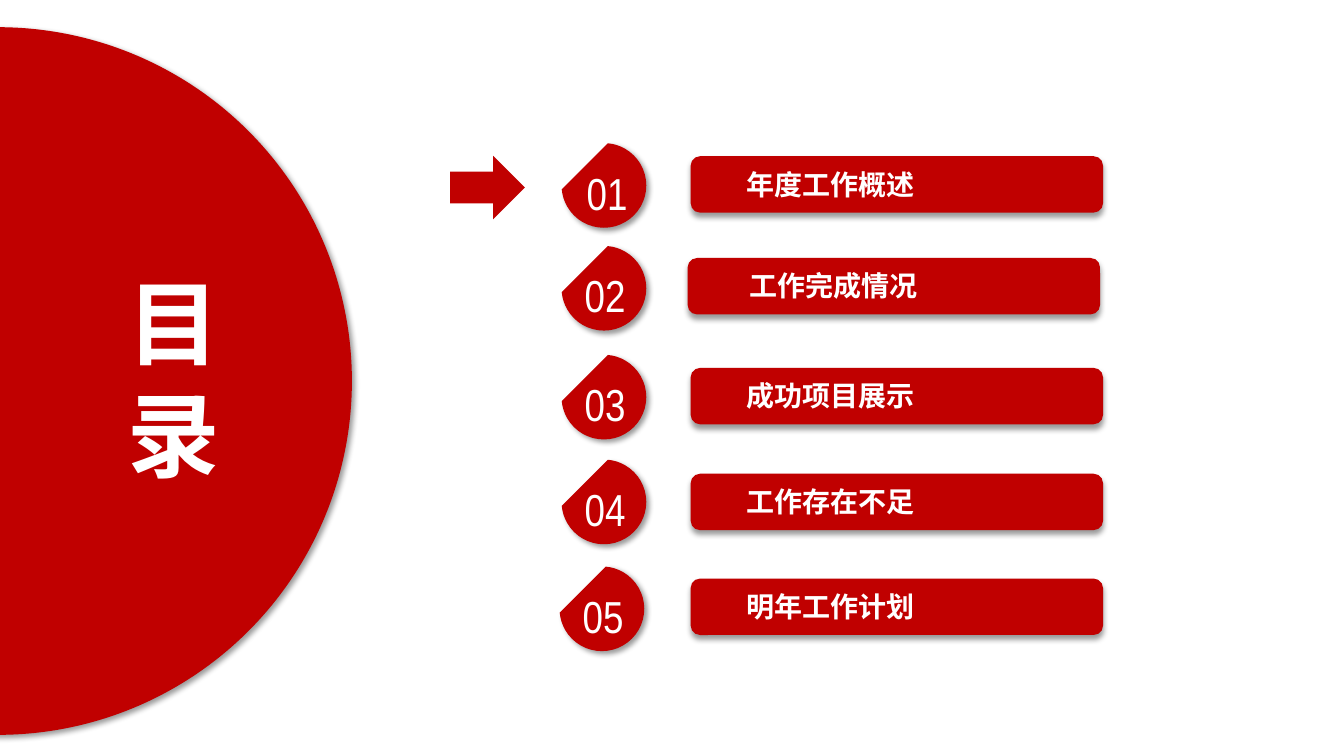
from lxml import etree
from pptx import Presentation
from pptx.dml.color import RGBColor
from pptx.enum.shapes import MSO_SHAPE as Shape
from pptx.enum.text import MSO_ANCHOR as Anchor, PP_ALIGN as Align
from pptx.oxml.ns import qn
from pptx.util import Inches, Pt

RED = RGBColor(0xC0, 0x00, 0x00)
WHITE = RGBColor(0xFF, 0xFF, 0xFF)
CJK_FONT = "Noto Sans CJK SC"
NUMBER_FONT = "Arial Narrow"

TITLE = "目\n录"
# number, label, badge left, badge top, number left, bar left, bar top, label left
AGENDA = [
    ("01", "年度工作概述", 5.57, 1.42, 5.72, 6.85, 1.55, 7.27),
    ("02", "工作完成情况", 5.57, 2.44, 5.70, 6.82, 2.56, 7.30),
    ("03", "成功项目展示", 5.57, 3.52, 5.70, 6.85, 3.65, 7.27),
    ("04", "工作存在不足", 5.57, 4.56, 5.70, 6.85, 4.70, 7.27),
    ("05", "明年工作计划", 5.55, 5.62, 5.68, 6.85, 5.74, 7.27),
]
BADGE_SIZE = 0.84
ARC_START, ARC_END = 275.4, 174.6


def paint(sp, shadow_angle=None):
    sp.fill.solid()
    sp.fill.fore_color.rgb = RED
    sp.line.fill.background()
    sp.shadow.inherit = False
    if shadow_angle is not None:
        effects = sp._element.spPr.find(qn("a:effectLst"))
        shadow = etree.SubElement(
            effects, qn("a:outerShdw"), blurRad=str(Pt(4)), dist=str(Pt(3)),
            dir=str(shadow_angle * 60000), algn="t", rotWithShape="0")
        color = etree.SubElement(shadow, qn("a:srgbClr"), val="000000")
        etree.SubElement(color, qn("a:alpha"), val="40000")


def add_preset(s, kind, left, top, width, height, shadow_angle=None):
    sp = s.shapes.add_shape(kind, *map(Inches, (left, top, width, height)))
    paint(sp, shadow_angle)
    return sp


def add_badge(s, left, top):
    badge = add_preset(s, Shape.CHORD, left, top, BADGE_SIZE, BADGE_SIZE, 45)
    for i, angle in enumerate((ARC_START, ARC_END)):
        badge.adjustments[i] = angle * 60000 / 100000


def write(sp, text, font, size, bold=False, align=Align.LEFT):
    tf = sp.text_frame
    tf.text = text
    tf.word_wrap = True
    for p in tf.paragraphs:
        p.alignment = align
        p.font.size = Pt(size)
        p.font.bold = bold
        p.font.color.rgb = WHITE
        p.font.name = font
        props = p._p.pPr.find(qn("a:defRPr"))
        etree.SubElement(props, qn("a:ea"), typeface=font)
    return tf


def set_insets(tf, side, top, bottom):
    tf.margin_left = tf.margin_right = Inches(side)
    tf.margin_top, tf.margin_bottom = Inches(top), Inches(bottom)


def add_title(s, circle):
    title = s.shapes.title
    title.left, title.top, title.width, title.height = map(
        Inches, (1, 2.58, 1.45, 2.36))
    title.fill.solid()
    title.fill.fore_color.rgb = RED
    tf = write(title, TITLE, CJK_FONT, 66, True, Align.CENTER)
    tf.vertical_anchor = Anchor.TOP
    set_insets(tf, 0.13, 0.05, 0.05)
    for p in tf.paragraphs:
        p.line_spacing = Pt(80)
    circle._element.addnext(title._element)


def main():
    """Build the agenda slide and save it."""
    prs = Presentation()
    prs.slide_width, prs.slide_height = Inches(13.33), Inches(7.5)
    s = prs.slides.add_slide(prs.slide_layouts[5])

    circle = add_preset(s, Shape.OVAL, -3.53, 0.27, 7.02, 7.02, 45)
    add_title(s, circle)

    for (number, label, badge_left, badge_top, number_left,
         bar_left, bar_top, label_left) in AGENDA:
        add_badge(s, badge_left, badge_top)
        number_box = s.shapes.add_textbox(*map(
            Inches, (number_left, badge_top + 0.17, 0.73, 0.64)))
        write(number_box, number, NUMBER_FONT, 32)

        add_preset(s, Shape.ROUNDED_RECTANGLE, bar_left, bar_top, 4.09, 0.56, 90)
        label_box = add_preset(
            s, Shape.RECTANGLE, label_left, bar_top + 0.04, 2.95, 0.47)
        tf = write(label_box, label, CJK_FONT, 20, True)
        tf.vertical_anchor = Anchor.MIDDLE
        set_insets(tf, 0.13, 0.07, 0.07)

    arrow = add_preset(s, Shape.DOWN_ARROW, 4.52, 1.49, 0.63, 0.74)
    arrow.rotation = 270
    prs.save("out.pptx")


if __name__ == "__main__":
    main()
